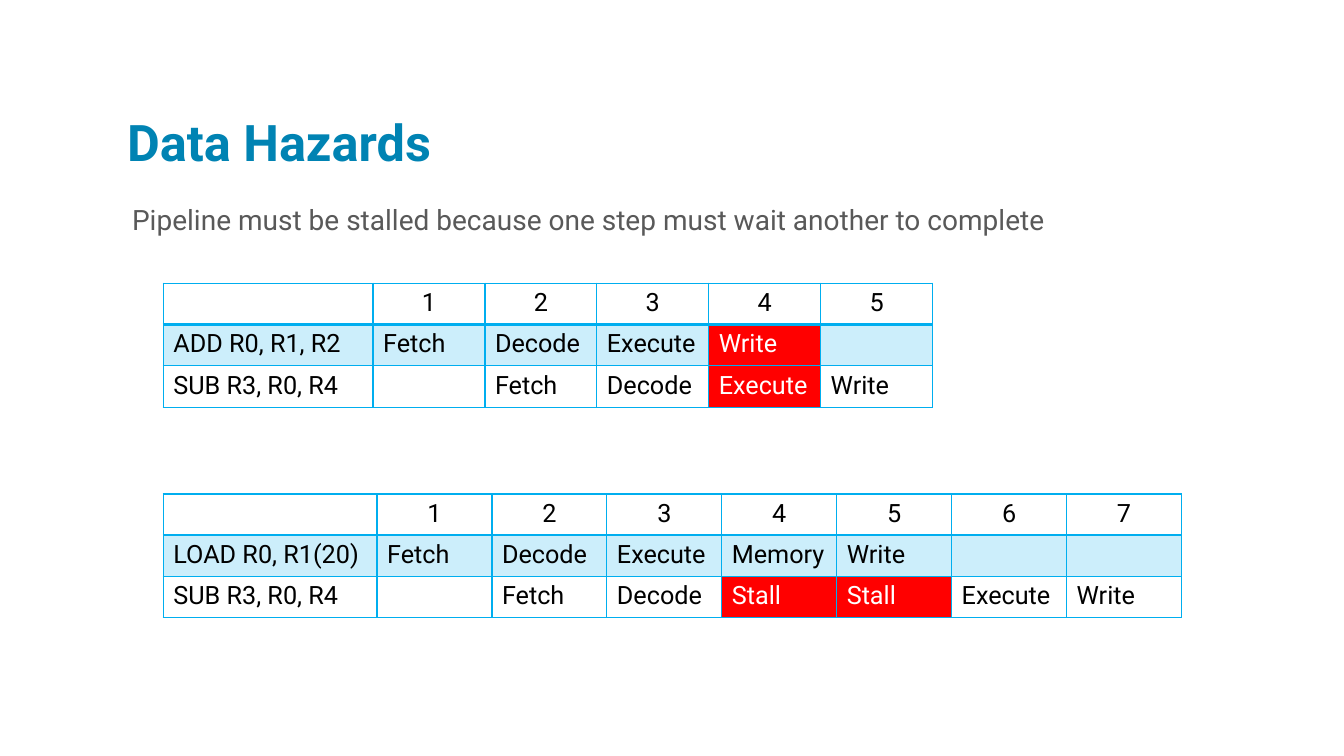
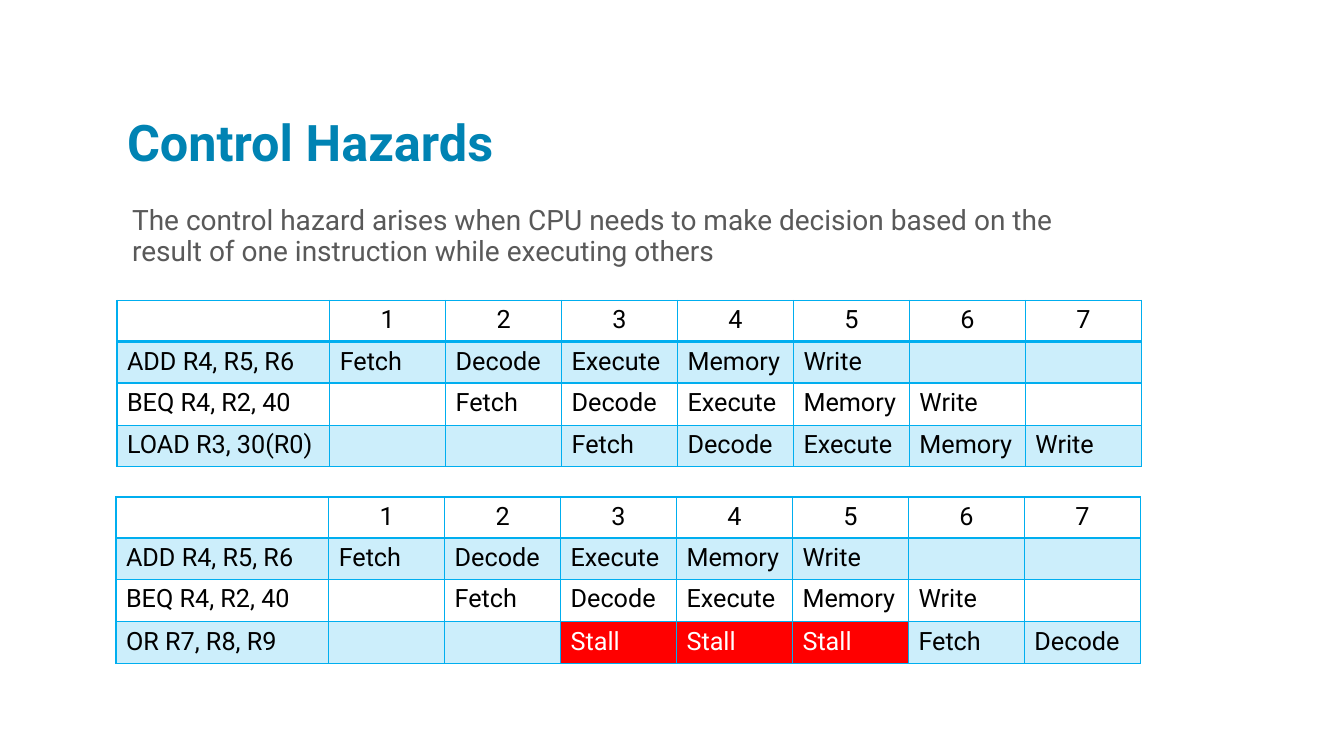
from dataclasses import dataclass

from lxml.etree import SubElement as Sub
from pptx import Presentation
from pptx.dml.color import RGBColor as Rgb
from pptx.enum.text import MSO_ANCHOR as Anchor, MSO_AUTO_SIZE as Fit, PP_ALIGN as Align
from pptx.oxml.ns import qn
from pptx.util import Emu, Pt

PX = 9144  # EMU in one px, 100 px to the inch


def px(n: int) -> Emu:
    return Emu(n * PX)


@dataclass(frozen=True)
class Theme:
    font: str = "Roboto"
    title: str = "0083B3"
    body: str = "595959"
    ink: str = "000000"
    white: str = "FFFFFF"
    line: str = "00AEEF"
    alert: str = "FF0000"
    tint: int = 20
    title_pt: int = 36
    body_pt: int = 20
    cell_pt: int = 18
    thin: int = 1
    thick: int = 2


T = Theme()


@dataclass(frozen=True)
class Op:
    """One instruction, its first cycle, its steps and the cycles in red."""
    code: str
    start: int
    steps: str
    hot: tuple[int, ...] = ()


@dataclass(frozen=True)
class Grid:
    left: int
    top: int
    head: int
    step: int
    count: int
    ops: tuple[Op, ...]


@dataclass(frozen=True)
class Page:
    title: str
    text: str
    high: int
    grids: tuple[Grid, ...]


FULL = "Fetch Decode Execute Memory Write"
ADD = Op("ADD R4, R5, R6", 1, FULL)
BEQ = Op("BEQ R4, R2, 40", 2, FULL)

PAGES = (
    Page("Data Hazards",
         "Pipeline must be stalled because one step must wait another to complete", 49,
         (Grid(162, 281, 208, 111, 5, (
             Op("ADD R0, R1, R2", 1, "Fetch Decode Execute Write", (4,)),
             Op("SUB R3, R0, R4", 2, "Fetch Decode Execute Write", (4,)))),
          Grid(162, 490, 212, 114, 7, (
              Op("LOAD R0, R1(20)", 1, FULL),
              Op("SUB R3, R0, R4", 2, "Fetch Decode Stall Stall Execute Write", (4, 5)))))),
    Page("Control Hazards",
         "The control hazard arises when CPU needs to make decision based on the "
         "result of one instruction while executing others", 73,
         (Grid(116, 298, 211, 115, 7, (ADD, BEQ, Op("LOAD R3, 30(R0)", 3, FULL))),
          Grid(115, 493, 211, 115, 7, (
              ADD, BEQ,
              Op("OR R7, R8, R9", 3, "Stall Stall Stall Fetch Decode", (3, 4, 5)))))),
)


def style(para, size: int, color: str, bold: bool = False) -> None:
    for run in para.runs:
        font = run.font
        font.name, font.size, font.bold = T.font, Pt(size), bold
        font.color.rgb = Rgb.from_string(color)


def put(shape, text: str, box: tuple[int, int, int, int], lead: float):
    """Move and fill a placeholder; return its paragraph."""
    shape.left, shape.top, shape.width, shape.height = map(px, box)
    frame = shape.text_frame
    frame.text = text
    frame.word_wrap, frame.auto_size = True, Fit.NONE
    para = frame.paragraphs[0]
    para.alignment, para.line_spacing, para.space_before = Align.LEFT, lead, Pt(0)
    return para


def edge(cell, row: int) -> None:
    """Draw the four borders, thick below the header row."""
    props = cell._tc.get_or_add_tcPr()
    for side in "LRTB":
        wide = (row, side) in ((0, "B"), (1, "T"))
        line = Sub(props, qn(f"a:ln{side}"), w=str(Pt(T.thick if wide else T.thin)))
        Sub(Sub(line, qn("a:solidFill")), qn("a:srgbClr"), val=T.line)


def paint(cell, row: int, hot: bool) -> None:
    if not hot and row % 2 == 0:
        cell.fill.background()
        return
    cell.fill.solid()
    cell.fill.fore_color.rgb = Rgb.from_string(T.alert if hot else T.line)
    if not hot:
        tone = cell._tc.tcPr.find(f"{qn('a:solidFill')}/{qn('a:srgbClr')}")
        Sub(tone, qn("a:alpha"), val=str(T.tint * 1000))


def draw(slide, grid: Grid) -> None:
    rows, cols = len(grid.ops) + 1, grid.count + 1
    wides = [grid.head] + [grid.step] * grid.count
    highs = [42 if row == 2 and rows > 3 else 41 for row in range(rows)]
    table = slide.shapes.add_table(rows, cols, px(grid.left), px(grid.top),
                                   px(sum(wides)), px(sum(highs))).table
    table.first_row = table.horz_banding = False
    for col, wide in zip(table.columns, wides):
        col.width = px(wide)
    for row, high in zip(table.rows, highs):
        row.height = px(high)

    words = {(0, col): str(col) for col in range(1, cols)}
    hots = set()
    for row, op in enumerate(grid.ops, 1):
        words[row, 0] = op.code
        for col, step in enumerate(op.steps.split(), op.start):
            words[row, col] = step
        hots |= {(row, col) for col in op.hot}

    for row in range(rows):
        for col in range(cols):
            cell, hot = table.cell(row, col), (row, col) in hots
            edge(cell, row)
            paint(cell, row, hot)
            if (row, col) in words:
                cell.text_frame.text = words[row, col]
                para = cell.text_frame.paragraphs[0]
                para.alignment = Align.LEFT if row else Align.CENTER
                style(para, T.cell_pt, T.white if hot else T.ink)


def build(deck, page: Page) -> None:
    slide = deck.slides.add_slide(deck.slide_layouts[1])
    title, body = slide.shapes.title, slide.placeholders[1]
    para = put(title, page.title, (116, 58, 950, 117), 0.8)
    title.text_frame.vertical_anchor = Anchor.BOTTOM
    style(para, T.title_pt, T.title, True)
    para = put(body, page.text, (116, 200, 950, page.high), 0.9)
    props = para._p.get_or_add_pPr()
    props.set("marL", str(px(5)))
    props.set("indent", "0")
    Sub(props, qn("a:buNone"))
    style(para, T.body_pt, T.body)
    for grid in page.grids:
        draw(slide, grid)


def main() -> None:
    deck = Presentation()
    deck.slide_width, deck.slide_height = px(1333), px(750)
    for page in PAGES:
        build(deck, page)
    deck.save("out.pptx")


if __name__ == "__main__":
    main()
